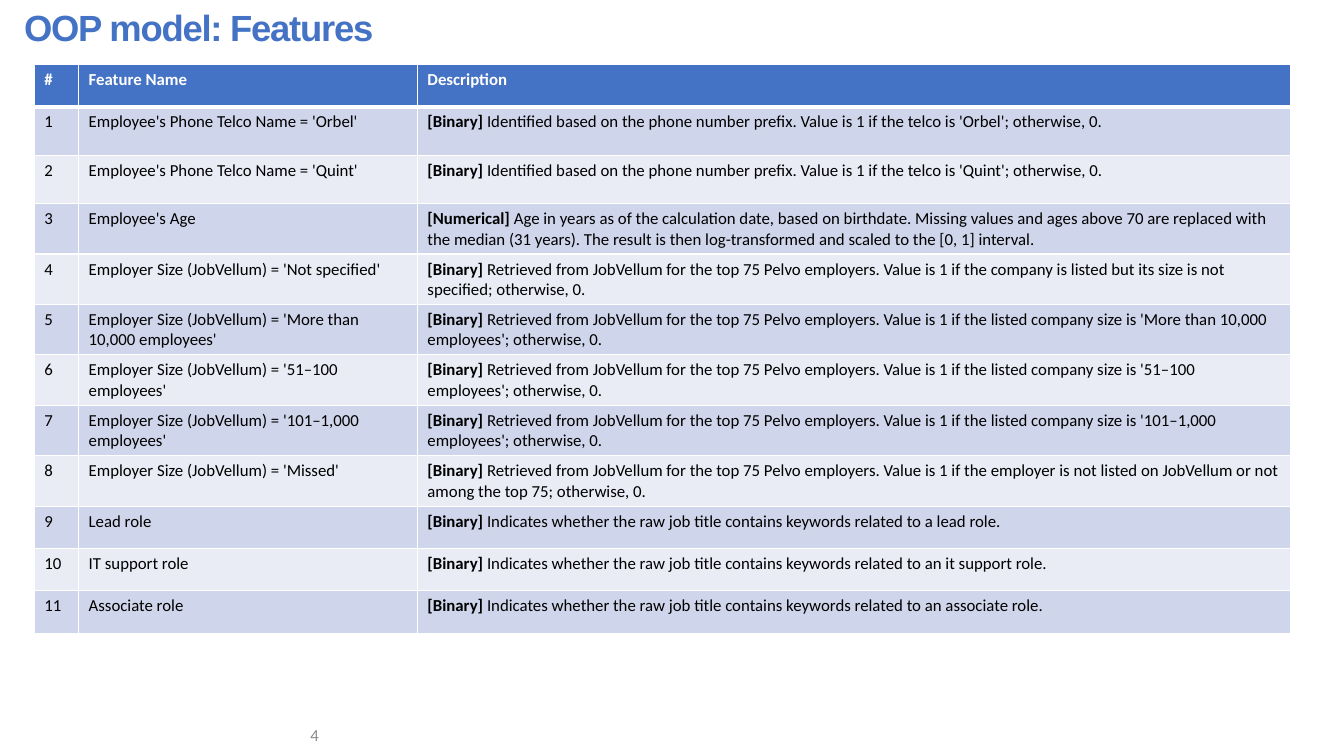
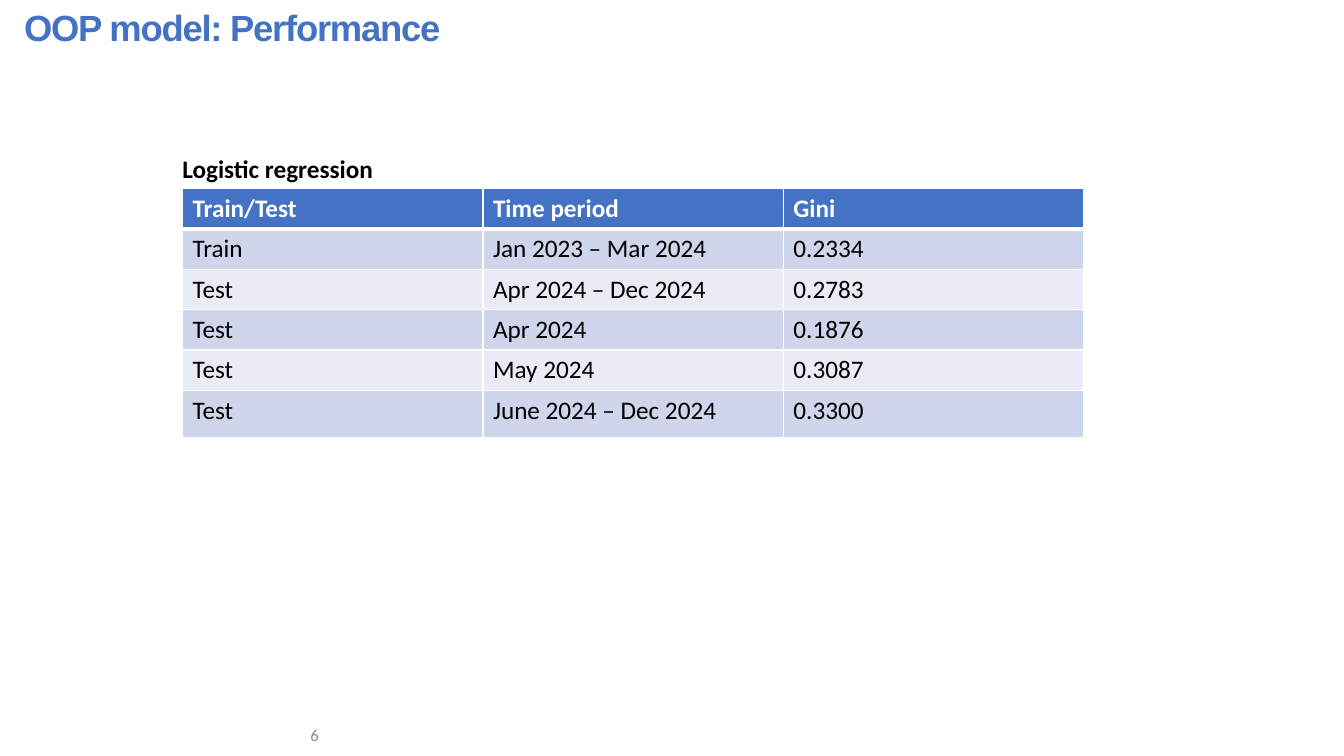
from pptx import Presentation
from pptx.dml.color import RGBColor
from pptx.enum.text import MSO_ANCHOR, PP_ALIGN
from pptx.oxml import parse_xml
from pptx.oxml.ns import nsdecls
from pptx.util import Inches, Pt

BLUE = RGBColor(0x44, 0x72, 0xC4)
BAND_DARK = RGBColor(0xCF, 0xD5, 0xEA)
BAND_LIGHT = RGBColor(0xE9, 0xEB, 0xF5)
WHITE = RGBColor(0xFF, 0xFF, 0xFF)
BLACK = RGBColor(0, 0, 0)
GRAY = RGBColor(0x8C, 0x8C, 0x8C)

PREFIX = "Identified based on the phone number prefix. Value is 1 if the telco is '{}'; otherwise, 0."
LISTED = "Retrieved from JobVellum for the top 75 Pelvo employers. Value is 1 if {}; otherwise, 0."
SIZE = LISTED.format("the listed company size is '{}'")
ROLE = "Indicates whether the raw job title contains keywords related to {} role."
TELCO_NAME = "Employee's Phone Telco Name = '{}'"
EMPLOYER_SIZE = "Employer Size (JobVellum) = '{}'"

FEATURES = [
    *[(TELCO_NAME.format(t), "Binary", PREFIX.format(t)) for t in ("Orbel", "Quint")],
    ("Employee's Age", "Numerical",
     "Age in years as of the calculation date, based on birthdate. Missing values and ages "
     "above 70 are replaced with the median (31 years). The result is then log-transformed "
     "and scaled to the [0, 1] interval."),
    (EMPLOYER_SIZE.format("Not specified"), "Binary",
     LISTED.format("the company is listed but its size is not specified")),
    *[(EMPLOYER_SIZE.format(n), "Binary", SIZE.format(n))
      for n in ("More than 10,000 employees", "51–100 employees", "101–1,000 employees")],
    (EMPLOYER_SIZE.format("Missed"), "Binary",
     LISTED.format("the employer is not listed on JobVellum or not among the top 75")),
    ("Lead role", "Binary", ROLE.format("a lead")),
    ("IT support role", "Binary", ROLE.format("an it support")),
    ("Associate role", "Binary", ROLE.format("an associate")),
]
FEATURE_ROWS = [("#", "Feature Name", "Description")] + [
    (str(i), name, [(f"[{kind}]", True), (f" {text}", False)])
    for i, (name, kind, text) in enumerate(FEATURES, 1)
]
GINI_ROWS = [
    ("Train/Test", "Time period", "Gini"),
    ("Train", "Jan 2023 – Mar 2024", "0.2334"),
    ("Test", "Apr 2024 – Dec 2024", "0.2783"),
    ("Test", "Apr 2024", "0.1876"),
    ("Test", "May 2024", "0.3087"),
    ("Test", "June 2024 – Dec 2024", "0.3300"),
]


def add_run(p, text, size, color, bold=False, font="Calibri"):
    r = p.add_run()
    r.text = text
    r.font.name = font
    r.font.size = Pt(size)
    r.font.bold = bold
    r.font.color.rgb = color
    return r


def add_text(s, box, text, size, color, bold=False, font="Calibri",
             align=PP_ALIGN.LEFT, anchor=MSO_ANCHOR.TOP):
    tf = s.shapes.add_textbox(*map(Inches, box)).text_frame
    tf.word_wrap = True
    tf.vertical_anchor = anchor
    p = tf.paragraphs[0]
    p.alignment = align
    return add_run(p, text, size, color, bold, font)


def add_borders(cell, row):
    widths = {"L": 1, "R": 1, "T": 3 if row == 1 else 1, "B": 3 if row == 0 else 1}
    for side, width in widths.items():
        cell._tc.get_or_add_tcPr().append(parse_xml(
            f'<a:ln{side} {nsdecls("a")} w="{Pt(width)}"><a:solidFill>'
            f'<a:srgbClr val="{WHITE}"/></a:solidFill></a:ln{side}>'))


def add_grid(s, left, top, cols, heights, rows, size):
    box = map(Inches, (left, top, sum(cols), sum(heights)))
    table = s.shapes.add_table(len(rows), len(cols), *box).table
    for col, width in zip(table.columns, cols):
        col.width = Inches(width)
    for i, (values, height) in enumerate(zip(rows, heights)):
        table.rows[i].height = Inches(height)
        head = i == 0
        for j, value in enumerate(values):
            cell = table.cell(i, j)
            add_borders(cell, i)
            cell.fill.solid()
            cell.fill.fore_color.rgb = BLUE if head else BAND_DARK if i % 2 else BAND_LIGHT
            runs = [(value, head)] if isinstance(value, str) else value
            for text, bold in runs:
                add_run(cell.text_frame.paragraphs[0], text, size, WHITE if head else BLACK, bold)


def add_page(prs, title, number):
    s = prs.slides.add_slide(prs.slide_layouts[6])
    r = add_text(s, (0.14, 0, 12.7, 0.54), title, 26, BLUE, True, "Arial")
    r.font._element.set("spc", "-90")
    add_text(s, (0.34, 7.16, 2.92, 0.25), number, 12, GRAY,
             align=PP_ALIGN.RIGHT, anchor=MSO_ANCHOR.MIDDLE)
    return s


def main():
    prs = Presentation()
    prs.slide_width, prs.slide_height = Inches(13.33), Inches(7.5)

    s = add_page(prs, "OOP model: Features", "4")
    add_grid(s, 0.34, 0.64, [0.44, 3.36, 8.66], [0.42] + [0.48] * 2 + [0.42] * 9,
             FEATURE_ROWS, 12)

    s = add_page(prs, "OOP model: Performance", "6")
    add_grid(s, 1.81, 1.87, [2.98] * 3, [0.37] * 5 + [0.47], GINI_ROWS, 18)
    add_text(s, (1.71, 1.47, 3.77, 0.4), "Logistic regression", 18, BLACK, True)

    prs.save("out.pptx")


if __name__ == "__main__":
    main()
